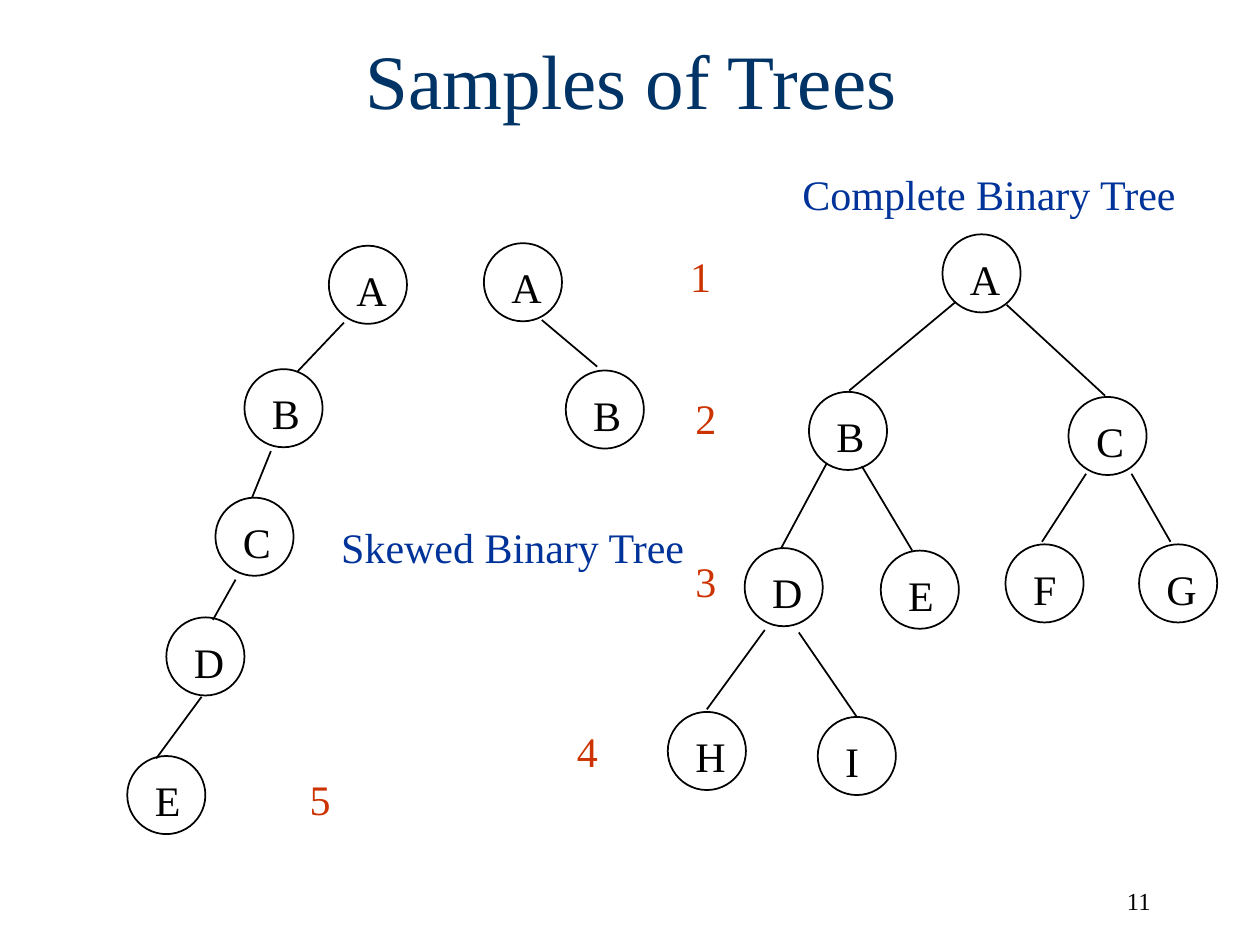
from typing import NamedTuple

from lxml.etree import SubElement
from pptx import Presentation
from pptx.dml.color import RGBColor
from pptx.enum.shapes import MSO_CONNECTOR as Connector, MSO_SHAPE as Shape
from pptx.enum.text import MSO_ANCHOR as Anchor, MSO_AUTO_SIZE as AutoSize, PP_ALIGN as Align
from pptx.oxml.ns import qn
from pptx.util import Inches, Pt

FONT = "Times New Roman"
BLACK = "000000"
TITLE_BLUE = "003366"
LABEL_BLUE = "003399"
LEVEL_RED = "CC3300"
NODE_SIZE = 0.62
TEXT_HEIGHT = 0.5
LETTER_WIDTHS = {"B": 0.42, "C": 0.42, "E": 0.41, "F": 0.39, "I": 0.31}
WIDE_LETTER = 0.44


class Node(NamedTuple):
    letter: str
    left: float
    top: float


class Edge(NamedTuple):
    x1: float
    y1: float
    x2: float
    y2: float


class Label(NamedTuple):
    text: str
    left: float
    top: float
    width: float
    color: str = LEVEL_RED
    size: int = 24
    align: Align = Align.LEFT


LEFT_SKEWED_NODES = [
    Node("A", 2.61, 1.95), Node("B", 1.94, 2.93), Node("C", 1.71, 3.95),
    Node("D", 1.32, 4.9), Node("E", 1.01, 6),
]
LEFT_SKEWED_EDGES = [
    Edge(2.73, 2.56, 2.36, 2.95), Edge(2.15, 3.58, 2, 3.95),
    Edge(1.87, 4.6, 1.69, 4.92), Edge(1.6, 5.53, 1.24, 6.02),
]
RIGHT_SKEWED_NODES = [Node("A", 3.84, 1.93), Node("B", 4.49, 2.94)]
RIGHT_SKEWED_EDGES = [Edge(4.3, 2.54, 4.74, 2.91)]
COMPLETE_NODES = [
    Node("A", 7.48, 1.86), Node("B", 6.42, 3.11), Node("C", 8.48, 3.15),
    Node("D", 5.91, 4.35), Node("E", 6.99, 4.37), Node("F", 7.98, 4.32),
    Node("G", 9.04, 4.32), Node("H", 5.3, 5.65), Node("I", 6.49, 5.69),
]
COMPLETE_EDGES = [
    Edge(7.58, 2.4, 6.74, 3.1), Edge(7.99, 2.42, 8.77, 3.14),
    Edge(6.56, 3.68, 6.2, 4.35), Edge(6.84, 3.7, 7.24, 4.37),
    Edge(8.62, 3.76, 8.27, 4.3), Edge(8.98, 3.76, 9.29, 4.3),
    Edge(6.07, 5, 5.61, 5.63), Edge(6.34, 5.02, 6.8, 5.69),
]
TREES = [
    (LEFT_SKEWED_NODES, LEFT_SKEWED_EDGES),
    (RIGHT_SKEWED_NODES, RIGHT_SKEWED_EDGES),
    (COMPLETE_NODES, COMPLETE_EDGES),
]
LABELS = [
    Label("Complete Binary Tree", 6.27, 1.29, 3.18, LABEL_BLUE),
    Label("Skewed Binary Tree", 2.61, 4.09, 2.94, LABEL_BLUE),
    Label("1", 5.38, 1.94, 0.36, align=Align.CENTER),
    Label("2", 5.42, 3.07, 0.36),
    Label("3", 5.42, 4.36, 0.36),
    Label("4", 4.48, 5.71, 0.36),
    Label("5", 2.36, 6.09, 0.36),
    Label("11", 7.15, 6.98, 2.08, BLACK, 14, Align.RIGHT),
]


def rgb(color: str) -> RGBColor:
    return RGBColor.from_string(color)


def write(shape, text: str, *, size: int = 24, color: str = BLACK,
          align: Align = Align.LEFT, anchor: Anchor = Anchor.TOP,
          wrap: bool = True) -> None:
    frame = shape.text_frame
    frame.word_wrap = wrap
    frame.auto_size = AutoSize.NONE
    frame.vertical_anchor = anchor
    paragraph = frame.paragraphs[0]
    paragraph.alignment = align
    run = paragraph.add_run()
    run.text = text
    run.font.name = FONT
    run.font.size = Pt(size)
    run.font.color.rgb = rgb(color)


def add_title(slide, text: str) -> None:
    title = slide.shapes.title
    title.left, title.top = Inches(0), Inches(0)
    title.width, title.height = Inches(10.02), Inches(1.25)
    write(title, text, size=44, color=TITLE_BLUE, align=Align.CENTER, anchor=Anchor.MIDDLE)


def add_node(slide, node: Node) -> None:
    group = slide.shapes.add_group_shape()
    circle = group.shapes.add_shape(Shape.OVAL, Inches(node.left), Inches(node.top),
                                    Inches(NODE_SIZE), Inches(NODE_SIZE))
    circle.shadow.inherit = False
    circle.fill.background()
    circle.line.color.rgb = rgb(BLACK)
    circle.line.width = Pt(1)
    width = LETTER_WIDTHS.get(node.letter, WIDE_LETTER)
    letter = group.shapes.add_textbox(Inches(node.left + 0.12), Inches(node.top + 0.1),
                                      Inches(width), Inches(TEXT_HEIGHT))
    write(letter, node.letter, wrap=False)


def add_edge(slide, edge: Edge) -> None:
    line = slide.shapes.add_connector(Connector.STRAIGHT, *map(Inches, edge))
    line.line.color.rgb = rgb(BLACK)
    line.line.width = Pt(1)
    SubElement(line._element.spPr, qn("a:effectLst"))


def add_label(slide, label: Label) -> None:
    box = slide.shapes.add_textbox(Inches(label.left), Inches(label.top),
                                   Inches(label.width), Inches(TEXT_HEIGHT))
    write(box, label.text, size=label.size, color=label.color, align=label.align)


def main() -> None:
    presentation = Presentation()
    presentation.slide_width = Inches(10)
    presentation.slide_height = Inches(7.5)
    slide = presentation.slides.add_slide(presentation.slide_layouts[5])
    add_title(slide, "Samples of Trees")
    for nodes, edges in TREES:
        for node in nodes:
            add_node(slide, node)
        for edge in edges:
            add_edge(slide, edge)
    for label in LABELS:
        add_label(slide, label)
    presentation.save("out.pptx")


if __name__ == "__main__":
    main()
